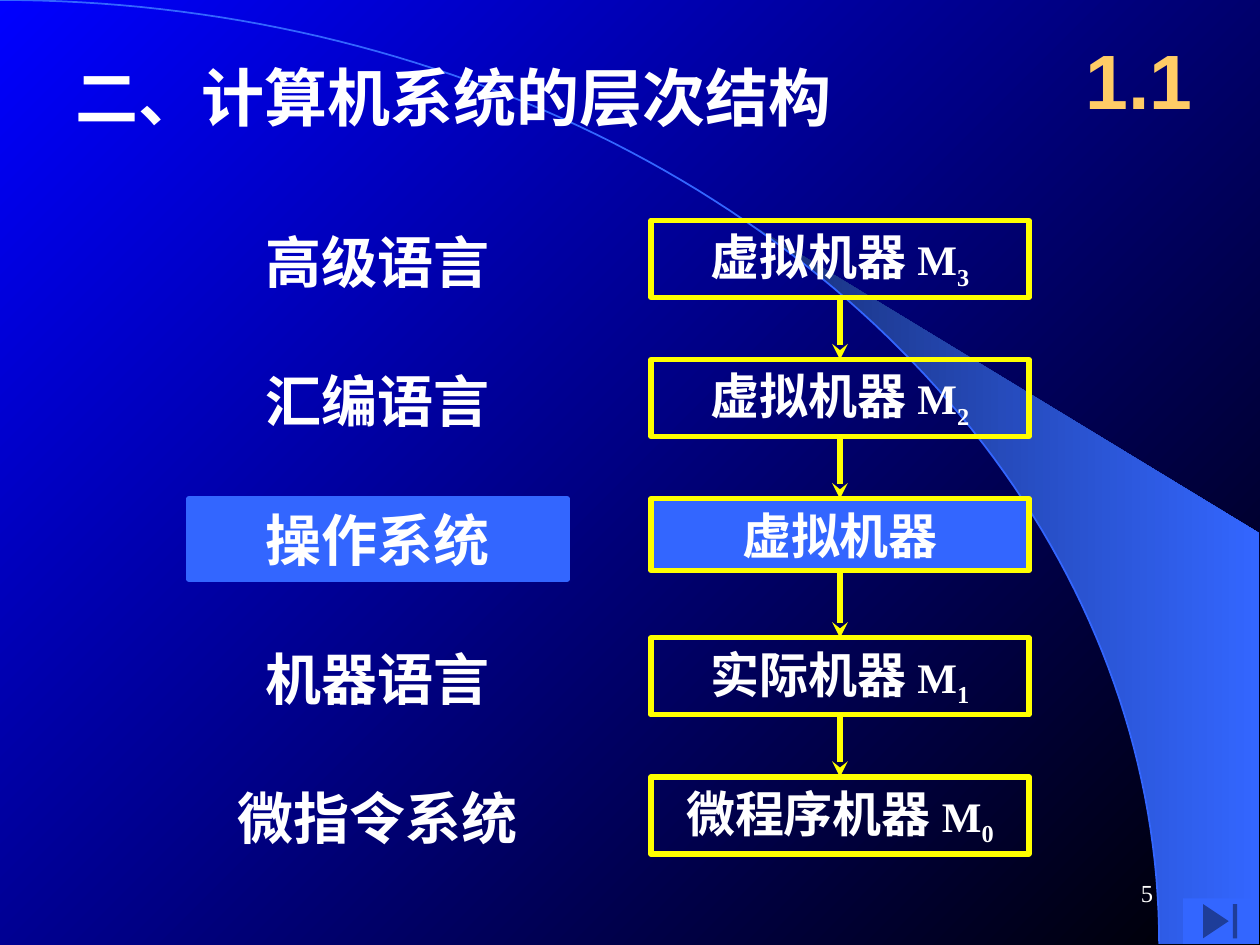
from dataclasses import dataclass
from itertools import pairwise
from math import cos, radians, sin

from lxml.etree import SubElement
from pptx import Presentation
from pptx.dml.color import RGBColor
from pptx.enum.shapes import MSO_CONNECTOR, MSO_SHAPE
from pptx.enum.text import MSO_ANCHOR as Anchor, PP_ALIGN as Align
from pptx.oxml.ns import qn
from pptx.util import Pt

BLUE = RGBColor(0x33, 0x66, 0xFF)
NAVY = RGBColor(0x18, 0x2F, 0x76)
DEEP_BLUE = RGBColor(0x00, 0x00, 0xFF)
BLACK = RGBColor(0x00, 0x00, 0x00)
WHITE = RGBColor(0xFF, 0xFF, 0xFF)
YELLOW = RGBColor(0xFF, 0xFF, 0x00)
GOLD = RGBColor(0xFF, 0xCC, 0x66)
HAN, SERIF, SANS = "Noto Sans CJK SC", "Times New Roman", "Arial"

LABEL_LEFT, MACHINE_LEFT, COLUMN_WIDTH = 108, 372, 216
FIRST_TOP, ROW_STEP = 126, 79.5
LABEL_HEIGHT, MACHINE_HEIGHT, SYSTEM_HEIGHT = 46, 44, 41
ARC_WIDTH, ARC_HEIGHT = 662.4, 539.3


@dataclass(frozen=True)
class Span:
    text: str
    size: float
    font: str = HAN
    color: RGBColor = WHITE
    bold: bool = True
    baseline: int = 0


@dataclass(frozen=True)
class Layer:
    language: str
    machine: str
    index: str = ""


LAYERS = (
    Layer("高级语言", "虚拟机器", "3"),
    Layer("汇编语言", "虚拟机器", "2"),
    Layer("操作系统", "虚拟机器"),
    Layer("机器语言", "实际机器", "1"),
    Layer("微指令系统", "微程序机器", "0"),
)


def write(box, spans: list[Span], align: Align, anchor: Anchor) -> None:
    frame = box.text_frame
    frame.word_wrap = True
    frame.vertical_anchor = anchor
    paragraph = frame.paragraphs[0]
    paragraph.alignment = align
    for span in spans:
        run = paragraph.add_run()
        run.text = span.text
        run.font.size = Pt(span.size)
        run.font.name = span.font
        run.font.bold = span.bold
        run.font.color.rgb = span.color
        properties = run._r.get_or_add_rPr()
        SubElement(properties, qn("a:ea"), typeface=HAN)
        if span.baseline:
            properties.set("baseline", str(span.baseline * 1000))


def add_text(page, left: float, top: float, width: float, height: float, span: Span,
             align: Align = Align.CENTER, anchor: Anchor = Anchor.MIDDLE) -> None:
    box = page.shapes.add_textbox(Pt(left), Pt(top), Pt(width), Pt(height))
    write(box, [span], align, anchor)


def add_box(page, left: float, top: float, height: float, line: RGBColor,
            filled: bool, spans: list[Span]):
    box = page.shapes.add_shape(MSO_SHAPE.RECTANGLE, Pt(left), Pt(top), Pt(COLUMN_WIDTH), Pt(height))
    box.shadow.inherit = False
    if filled:
        box.fill.solid()
        box.fill.fore_color.rgb = BLUE
    else:
        box.fill.background()
    box.line.color.rgb = line
    box.line.width = Pt(3)
    write(box, spans, Align.CENTER, Anchor.MIDDLE)
    return box


def add_layer(page, layer: Layer, top: float):
    highlighted = not layer.index
    label = Span(layer.language, 32)
    if highlighted:
        add_box(page, LABEL_LEFT, top, LABEL_HEIGHT, BLUE, True, [label])
        spans, height = [Span(layer.machine, 28)], SYSTEM_HEIGHT
    else:
        add_text(page, LABEL_LEFT, top, COLUMN_WIDTH, LABEL_HEIGHT, label)
        spans = [Span(layer.machine + " ", 28), Span("M", 24, SERIF),
                 Span(layer.index, 24, SERIF, baseline=-25)]
        height = MACHINE_HEIGHT
    return add_box(page, MACHINE_LEFT, top, height, YELLOW, highlighted, spans)


def add_arrow(page, upper, lower) -> None:
    arrow = page.shapes.add_connector(MSO_CONNECTOR.STRAIGHT, 0, 0, 0, 0)
    arrow.begin_connect(upper, 2)
    arrow.end_connect(lower, 0)
    arrow.line.color.rgb = YELLOW
    arrow.line.width = Pt(3)
    SubElement(arrow.line._get_or_add_ln(), qn("a:tailEnd"), type="stealth")
    SubElement(arrow._element.spPr, qn("a:effectLst"))


def set_gradient(fill, start: RGBColor, end: RGBColor, angle: float) -> None:
    fill.gradient()
    fill.gradient_angle = angle
    for stop, color, position in zip(fill.gradient_stops, (start, end), (0, 1)):
        stop.color.rgb = color
        stop.position = position


def arc_points(start: int) -> list[tuple[int, int]]:
    angles = [radians(degree) for degree in range(start, 91)]
    return [(Pt(ARC_WIDTH * sin(a)), Pt(ARC_HEIGHT * (1 - cos(a)))) for a in angles]


def add_outline(page, points: list[tuple[int, int]], close: bool):
    builder = page.shapes.build_freeform(*points[0])
    builder.add_line_segments(points[1:], close=close)
    shape = builder.convert_to_shape()
    shape.shadow.inherit = False
    return shape


def add_backdrop(page) -> None:
    set_gradient(page.background.fill, DEEP_BLUE, BLACK, 315)
    corners = [(Pt(719.3), Pt(539.3)), (Pt(719.3), Pt(304.6))]
    beam = add_outline(page, arc_points(40) + corners, True)
    set_gradient(beam.fill, NAVY, BLUE, 0)
    beam.line.fill.background()
    arc = add_outline(page, arc_points(0), False)
    arc.fill.background()
    arc.line.color.rgb = BLUE
    arc.line.width = Pt(1)


def add_end_button(page) -> None:
    button = page.shapes.add_shape(MSO_SHAPE.ACTION_BUTTON_END, Pt(676), Pt(513.4), Pt(42.5), Pt(26))
    button.shadow.inherit = False
    button.fill.solid()
    button.fill.fore_color.rgb = BLUE
    button.line.fill.background()


def main() -> None:
    """Build the slide on the layers of a computer system."""
    deck = Presentation()
    deck.slide_width, deck.slide_height = Pt(720), Pt(540)
    page = deck.slides.add_slide(deck.slide_layouts[6])
    add_backdrop(page)
    add_text(page, 36, 30, 612, 72, Span("二、计算机系统的层次结构", 36, SERIF), Align.LEFT, Anchor.TOP)
    add_text(page, 606, 12, 90, 66, Span("1.1", 44, SANS, GOLD))
    machines = [add_layer(page, layer, FIRST_TOP + row * ROW_STEP) for row, layer in enumerate(LAYERS)]
    for upper, lower in pairwise(machines):
        add_arrow(page, upper, lower)
    add_end_button(page)
    add_text(page, 516, 492, 150, 36, Span("5", 14, SERIF, bold=False), Align.RIGHT)
    deck.save("out.pptx")


if __name__ == "__main__":
    main()
